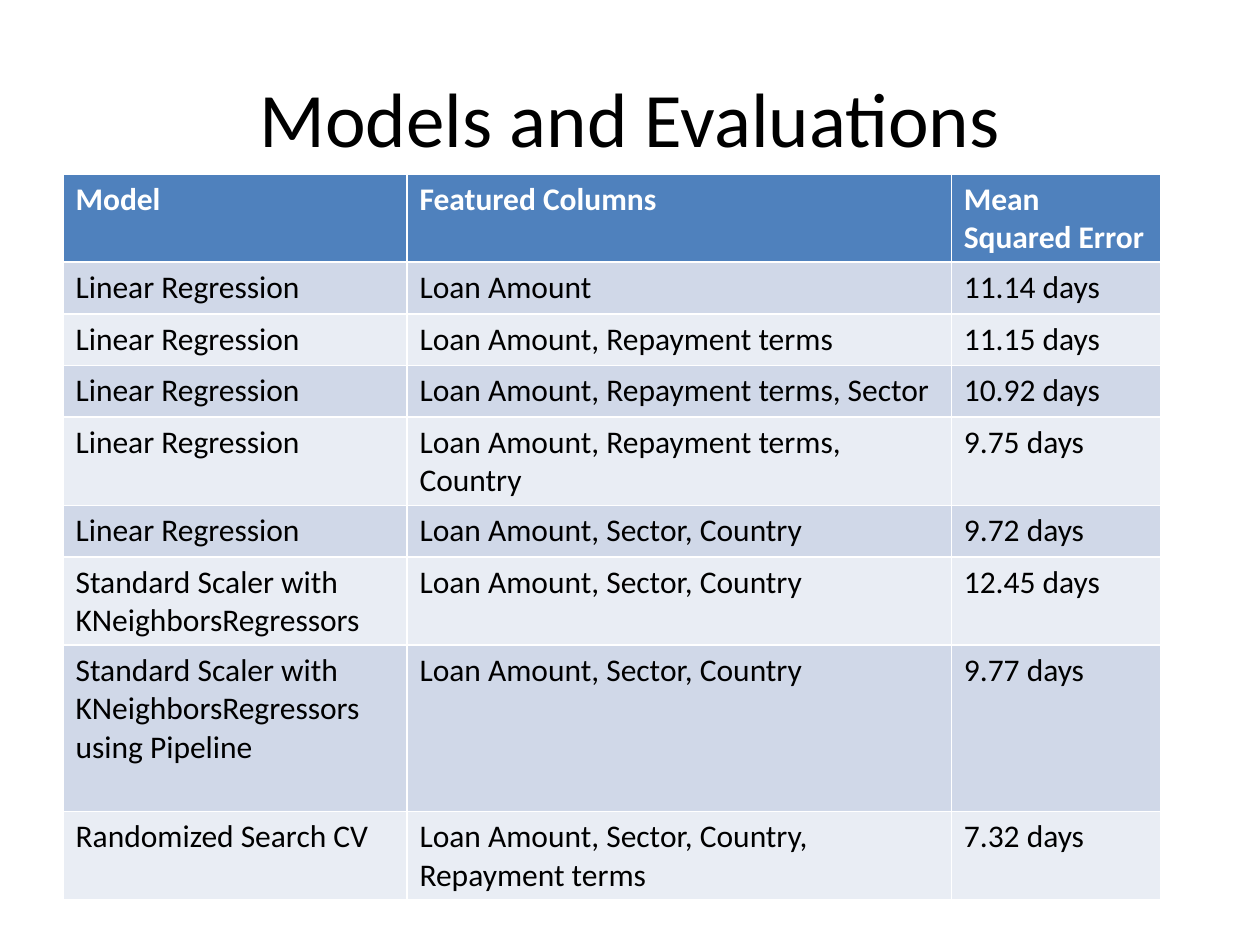
from pptx import Presentation
from pptx.dml.color import RGBColor
from pptx.enum import text
from pptx.util import Inches, Pt

BLACK = RGBColor(0x00, 0x00, 0x00)
WHITE = RGBColor(0xFF, 0xFF, 0xFF)
BLUE = RGBColor(0x4F, 0x81, 0xBD)
BANDS = (RGBColor(0xE9, 0xED, 0xF4), RGBColor(0xD0, 0xD8, 0xE8))


class Deck:
    """Holds the style and the current slide."""

    font = "Calibri"

    def __init__(self, wide, high):
        self.prs = Presentation()
        self.prs.slide_width = Inches(wide)
        self.prs.slide_height = Inches(high)
        self.slide = self.prs.slides.add_slide(self.prs.slide_layouts[6])

    def style(self, para, size, color, bold=False):
        font = para.font
        font.name, font.size, font.bold = self.font, Pt(size), bold
        font.color.rgb = color

    def title(self, words, x, y, w, h):
        box = self.slide.shapes.add_textbox(
            Inches(x), Inches(y), Inches(w), Inches(h))
        frame = box.text_frame
        frame.word_wrap = True
        frame.vertical_anchor = text.MSO_ANCHOR.MIDDLE
        para = frame.paragraphs[0]
        para.text = words
        para.alignment = text.PP_ALIGN.CENTER
        self.style(para, 44, BLACK)

    def table(self, rows, x, y, widths, heights):
        # The default table style supplies the white cell borders
        grid = self.slide.shapes.add_table(
            len(rows), len(widths), Inches(x), Inches(y),
            Inches(sum(widths)), Inches(sum(heights))).table
        for col, width in zip(grid.columns, widths):
            col.width = Inches(width)
        for r, (row, height) in enumerate(zip(rows, heights)):
            grid.rows[r].height = Inches(height)
            head = r == 0
            for c, words in enumerate(row):
                cell = grid.cell(r, c)
                cell.text = words
                cell.fill.solid()
                cell.fill.fore_color.rgb = BLUE if head else BANDS[r % 2]
                self.style(cell.text_frame.paragraphs[0], 18,
                           WHITE if head else BLACK, head)


deck = Deck(10, 7.5)

# Title
deck.title("Models and Evaluations", 0.5, 0.3, 9, 1.25)

# Models, their columns and errors
LINEAR = "Linear Regression"
SCALER = "Standard Scaler with KNeighborsRegressors"
AREA = "Loan Amount, Sector, Country"
TERMS = "Loan Amount, Repayment terms"
ONE, TWO, TALL = 0.41, 0.7, 1.32
rows = [
    ("Model", "Featured Columns", "Mean Squared Error"),
    (LINEAR, "Loan Amount", "11.14 days"),
    (LINEAR, TERMS, "11.15 days"),
    (LINEAR, TERMS + ", Sector", "10.92 days"),
    (LINEAR, TERMS + ", Country", "9.75 days"),
    (LINEAR, AREA, "9.72 days"),
    (SCALER, AREA, "12.45 days"),
    (SCALER + " using Pipeline", AREA, "9.77 days"),
    ("Randomized Search CV", AREA + ", Repayment terms", "7.32 days"),
]
deck.table(rows, 0.5, 1.38, (2.73, 4.32, 1.66),
           (TWO, ONE, ONE, ONE, TWO, ONE, TWO, TALL, TWO))

deck.prs.save("out.pptx")
